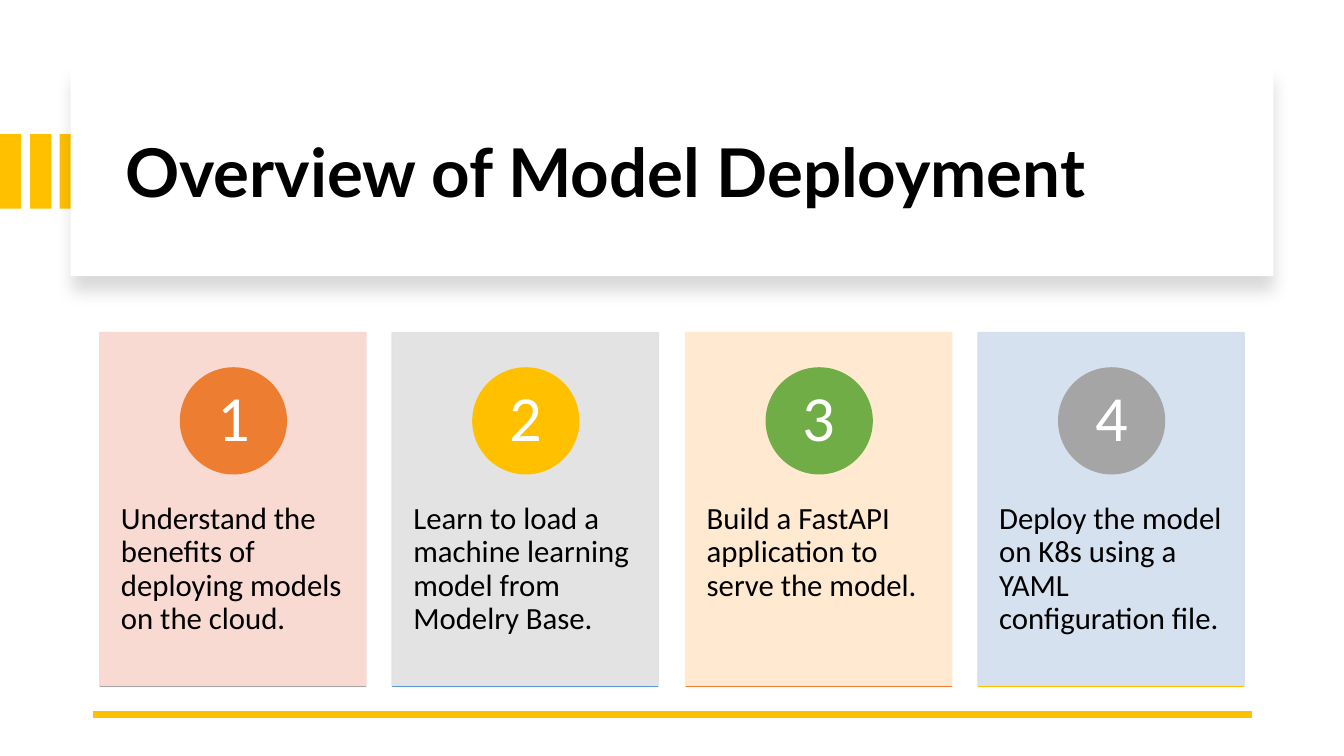
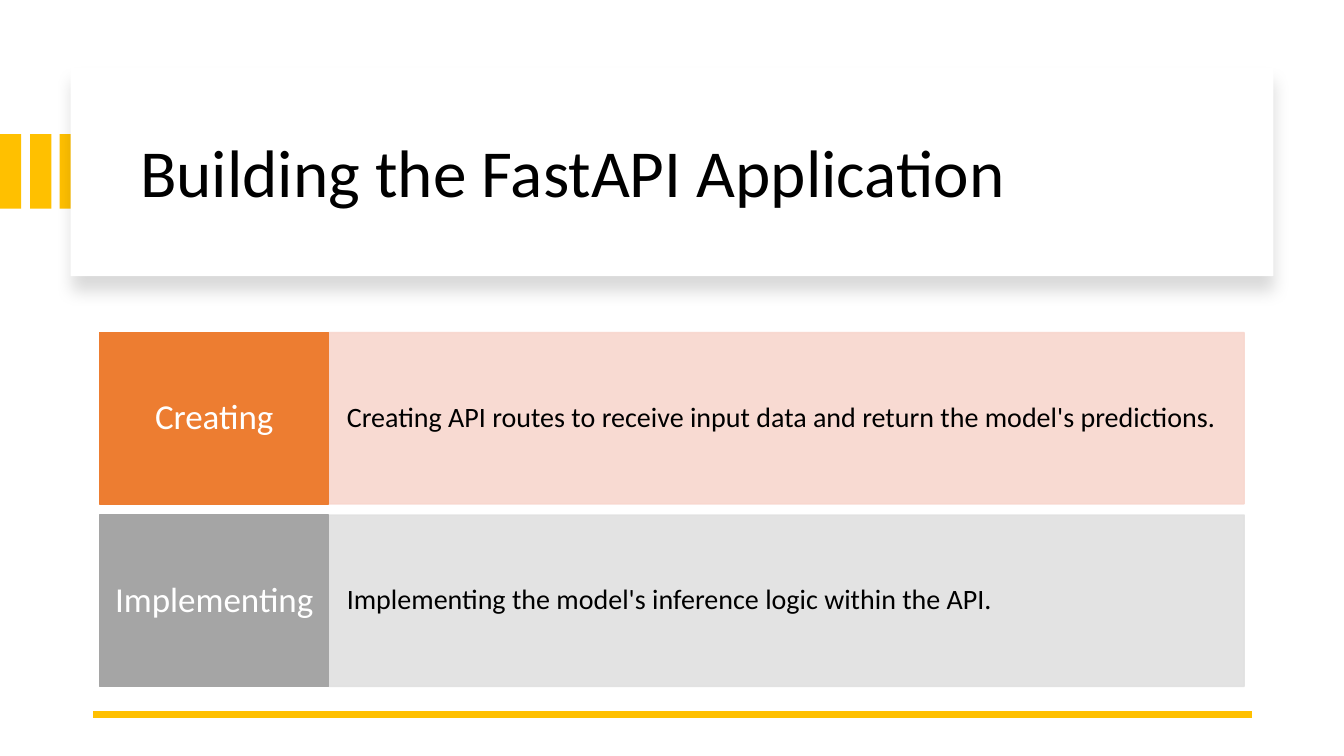
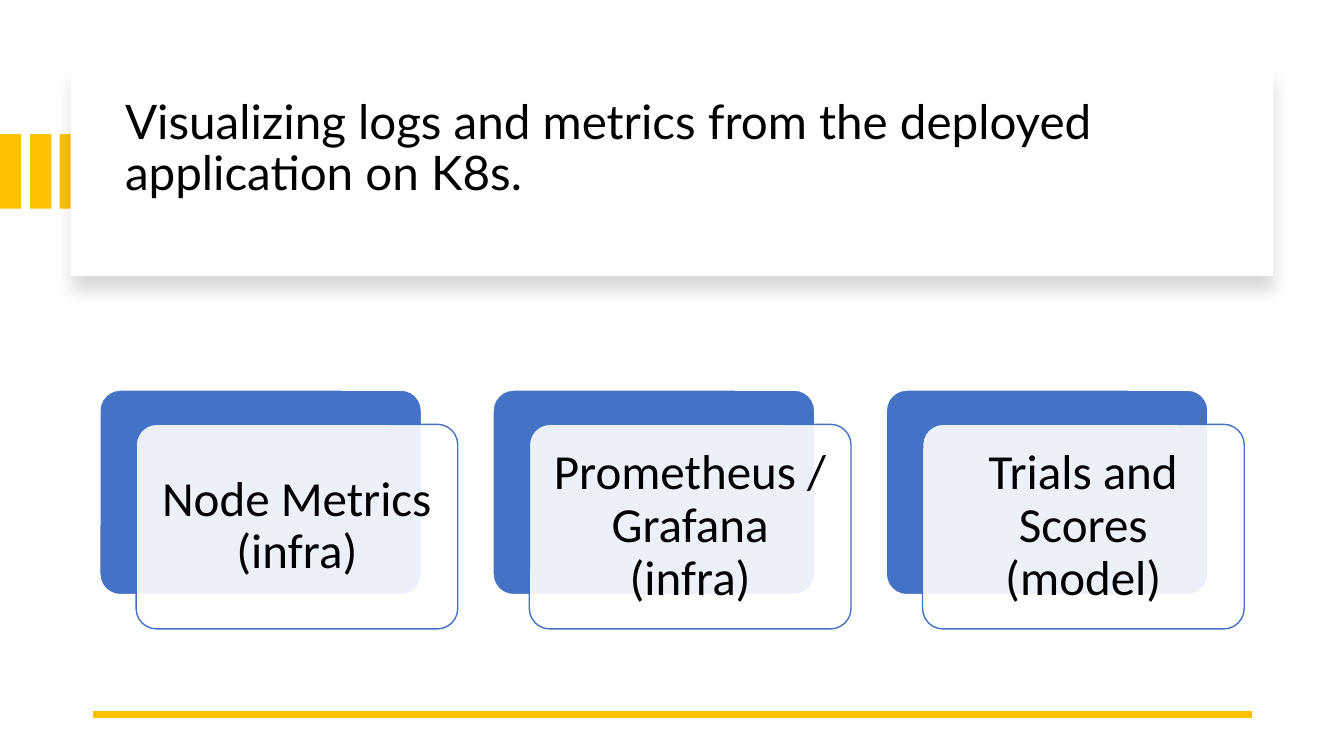
"""Build three slides on deploying a machine learning model."""
from lxml.etree import SubElement
from pptx import Presentation
from pptx.dml.color import RGBColor
from pptx.enum.shapes import MSO_CONNECTOR, MSO_SHAPE
from pptx.enum.text import MSO_ANCHOR, MSO_AUTO_SIZE, PP_ALIGN
from pptx.oxml.ns import qn
from pptx.util import Emu, Pt

PX = 9144
SLIDE_WIDTH, SLIDE_HEIGHT = 1333, 750
LEFT, TOP, WIDTH, HEIGHT = 99, 330, 1135, 351

COLORS = {
    "black": "000000", "white": "FFFFFF", "gold": "FFC000", "orange": "ED7D31",
    "green": "70AD47", "gray": "A5A5A5", "sky": "5B9BD5", "blue": "4472C4",
    "pale_red": "F8D7CE", "pale_gray": "E1E1E1", "pale_orange": "FFE8CC", "pale_blue": "D2DEEF",
}

OVERVIEW_TITLE = {"text": "Overview of Model Deployment", "font": "Lato", "size": 48, "bold": True}
BUILDING_TITLE = {"text": "Building the FastAPI Application", "font": "Calibri", "size": 48, "left": 25}
METRICS_TITLE = {
    "text": "Visualizing logs and metrics from the deployed application on K8s.",
    "font": "Lato", "size": 34, "bottom": 56,
}

CARDS = [
    ("Understand the benefits of deploying models on the cloud.", "pale_red", "orange", "gray"),
    ("Learn to load a machine learning model from Modelry Base.", "pale_gray", "gold", "sky"),
    ("Build a FastAPI application to serve the model.", "pale_orange", "green", "orange"),
    ("Deploy the model on K8s using a YAML configuration file.", "pale_blue", "gray", "gold"),
]
STEPS = [
    ("Creating", "Creating API routes to receive input data and return the model's predictions.",
     "orange", "pale_red"),
    ("Implementing", "Implementing the model's inference logic within the API.", "gray", "pale_gray"),
]
TOOLS = ["Node Metrics (infra)", "Prometheus / Grafana (infra)", "Trials and Scores (model)"]


def px(value):
    return Emu(value * PX)


def rgb(name):
    return RGBColor.from_string(COLORS[name])


def spread(start, length, count, size):
    pitch = (length - size) / (count - 1)
    return [round(start + index * pitch) for index in range(count)]


def set_alpha(fill_format, percent):
    color = fill_format._xPr.find(qn("a:solidFill"))[0]
    SubElement(color, qn("a:alpha"), val=str(percent * 1000))


def add_box(slide, kind, box, fill, line=None, fill_alpha=None, line_alpha=None):
    shape = slide.shapes.add_shape(kind, *map(px, box))
    shape.shadow.inherit = False
    shape.fill.solid()
    shape.fill.fore_color.rgb = rgb(fill)
    if fill_alpha:
        set_alpha(shape.fill, fill_alpha)
    if line:
        shape.line.color.rgb = rgb(line)
        shape.line.width = Pt(1)
        if line_alpha:
            set_alpha(shape.line.fill, line_alpha)
    else:
        shape.line.fill.background()
    return shape


def add_line(slide, start, end, color, width):
    line = slide.shapes.add_connector(MSO_CONNECTOR.STRAIGHT, *map(px, start + end))
    line.line.color.rgb = rgb(color)
    line.line.width = Pt(width)
    SubElement(line._element.spPr, qn("a:effectLst"))


def write(shape, text, size, color="black", font="Calibri", bold=False,
          align=PP_ALIGN.LEFT, anchor=MSO_ANCHOR.MIDDLE, insets=(10, 5, 10, 5)):
    frame = shape.text_frame
    frame.word_wrap = True
    frame.auto_size = MSO_AUTO_SIZE.NONE
    frame.vertical_anchor = anchor
    frame.margin_left, frame.margin_top, frame.margin_right, frame.margin_bottom = map(px, insets)
    paragraph = frame.paragraphs[0]
    paragraph.alignment = align
    paragraph.line_spacing = 0.9
    run = paragraph.add_run()
    run.text = text
    run.font.name = font
    run.font.size = Pt(size)
    run.font.bold = bold
    run.font.color.rgb = rgb(color)


def add_panel_shadow(panel):
    effects = panel._element.spPr.find(qn("a:effectLst"))
    shadow = SubElement(effects, qn("a:outerShdw"), blurRad=str(Pt(11)), dist=str(Pt(10)),
                        dir="5400000", algn="t", rotWithShape="0")
    color = SubElement(shadow, qn("a:srgbClr"), val=COLORS["black"])
    SubElement(color, qn("a:alpha"), val="15000")


def add_titled_slide(presentation, heading):
    slide = presentation.slides.add_slide(presentation.slide_layouts[5])
    for left in spread(0, 80, 3, 21):
        add_box(slide, MSO_SHAPE.RECTANGLE, (left, 133, 21, 74), "gold")
    panel = add_box(slide, MSO_SHAPE.RECTANGLE, (70, 67, 1193, 207), "white")
    add_panel_shadow(panel)
    title = slide.shapes.title
    slide.shapes.element.append(title.element)
    title.left, title.top, title.width, title.height = map(px, (114, 89, 1113, 170))
    write(title, heading["text"], heading["size"], font=heading["font"],
          bold=heading.get("bold", False),
          insets=(heading.get("left", 10), 5, 10, heading.get("bottom", 5)))
    add_line(slide, (1242, 709), (92, 709), "gold", 4.5)
    return slide


def build_overview(presentation):
    slide = add_titled_slide(presentation, OVERVIEW_TITLE)
    width, circle = 264, 105
    lefts = spread(LEFT, WIDTH, len(CARDS), width)
    for number, (left, (text, pale, accent, rule)) in enumerate(zip(lefts, CARDS), 1):
        card = add_box(slide, MSO_SHAPE.RECTANGLE, (left, TOP, width, HEIGHT), pale, pale, 90, 90)
        write(card, text, 22, anchor=MSO_ANCHOR.TOP, insets=(21, 169, 21, 43))
        badge = add_box(slide, MSO_SHAPE.OVAL,
                        (left + (width - circle) // 2 + 1, TOP + 35, circle, circle), accent, accent)
        write(badge, str(number), 46, "white", align=PP_ALIGN.CENTER, insets=(8, 1, 8, 1))
        bottom = TOP + HEIGHT
        add_line(slide, (left, bottom), (left + width, bottom), rule, 1)


def build_steps(presentation):
    slide = add_titled_slide(presentation, BUILDING_TITLE)
    height, label_width = 170, 227
    tops = spread(TOP, HEIGHT, len(STEPS), height)
    for top, (name, text, accent, pale) in zip(tops, STEPS):
        detail = add_box(slide, MSO_SHAPE.RECTANGLE,
                         (LEFT + label_width, top, WIDTH - label_width, height), pale, pale, 90, 90)
        write(detail, text, 20, insets=(18, 43, 18, 43))
        label = add_box(slide, MSO_SHAPE.RECTANGLE, (LEFT, top, label_width, height), accent, accent)
        write(label, name, 25, "white", align=PP_ALIGN.CENTER, insets=(12, 17, 12, 17))


def build_metrics(presentation):
    slide = add_titled_slide(presentation, METRICS_TITLE)
    width, height, shift_x, shift_y, top = 319, 203, 36, 34, 387
    for left, text in zip(spread(LEFT, WIDTH, len(TOOLS), width + shift_x), TOOLS):
        back = add_box(slide, MSO_SHAPE.ROUNDED_RECTANGLE, (left, top, width, height), "blue", "white")
        front = add_box(slide, MSO_SHAPE.ROUNDED_RECTANGLE,
                        (left + shift_x, top + shift_y, width, height), "white", "blue", 90)
        for shape in (back, front):
            shape.adjustments[0] = 0.1
        write(front, text, 35, align=PP_ALIGN.CENTER, insets=(15, 15, 15, 15))


def main():
    presentation = Presentation()
    presentation.slide_width, presentation.slide_height = px(SLIDE_WIDTH), px(SLIDE_HEIGHT)
    build_overview(presentation)
    build_steps(presentation)
    build_metrics(presentation)
    presentation.save("out.pptx")


if __name__ == "__main__":
    main()
